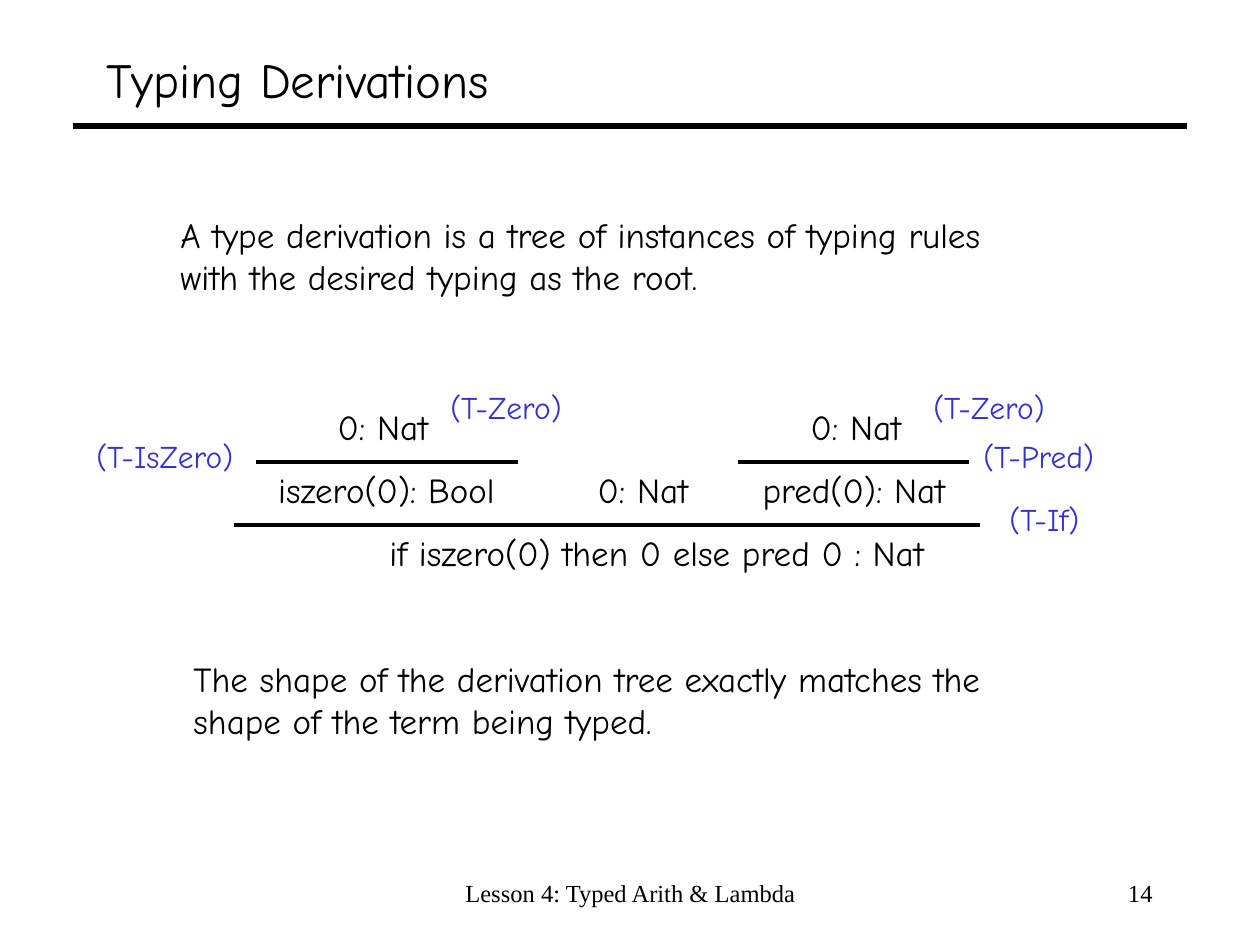
from dataclasses import dataclass

from lxml.etree import SubElement
from pptx import Presentation
from pptx.dml.color import RGBColor
from pptx.enum.shapes import MSO_CONNECTOR
from pptx.enum.text import MSO_ANCHOR, MSO_AUTO_SIZE, PP_ALIGN
from pptx.oxml.ns import qn
from pptx.util import Inches, Pt

PX_PER_INCH = 126
LEVEL_TOP, LEVEL_STEP = 399, 63  # rows of the derivation tree


@dataclass(frozen=True)
class Theme:
    hand: str = "Comic Neue"
    serif: str = "Times New Roman"
    ink: RGBColor = RGBColor(0x00, 0x00, 0x00)
    rule_name: RGBColor = RGBColor(0x33, 0x33, 0xCC)
    title: int = 28
    body: int = 20
    label: int = 18
    footer: int = 14
    title_line: float = 3
    tree_line: float = 2.25


THEME = Theme()


def px(n):
    return Inches(n / PX_PER_INCH)


def level_y(level):
    return LEVEL_TOP + level * LEVEL_STEP


def add_text(slide, box, lines, size, color=THEME.ink, font=THEME.hand,
             align=PP_ALIGN.LEFT, wrap=False, anchor=MSO_ANCHOR.TOP):
    tf = slide.shapes.add_textbox(*map(px, box)).text_frame
    tf.word_wrap = wrap
    tf.auto_size = MSO_AUTO_SIZE.NONE if wrap else MSO_AUTO_SIZE.SHAPE_TO_FIT_TEXT
    tf.vertical_anchor = anchor
    tf.text = lines
    for p in tf.paragraphs:
        p.alignment = align
        p.font.size = Pt(size)
        p.font.name = font
        p.font.color.rgb = color


def add_rule(slide, x1, x2, y, width):
    line = slide.shapes.add_connector(
        MSO_CONNECTOR.STRAIGHT, px(x1), px(y), px(x2), px(y))
    line.line.color.rgb = THEME.ink
    line.line.width = Pt(width)
    SubElement(line._element.spPr, qn("a:effectLst"))


def add_judgement(slide, x, level, width, text, align=PP_ALIGN.CENTER):
    add_text(slide, (x, level_y(level), width, 55), text, THEME.body, align=align)


def add_rule_name(slide, x, y, width, text):
    add_text(slide, (x, y, width, 50), text, THEME.label, THEME.rule_name)


def add_footer(slide, x, width, text, align):
    add_text(slide, (x, 872, width, 53), text, THEME.footer,
             font=THEME.serif, align=align, wrap=True)


def add_derivation(slide):
    add_judgement(slide, 325, 0, 116, "0: Nat")
    add_judgement(slide, 798, 0, 116, "0: Nat")
    add_judgement(slide, 265, 1, 243, "iszero(0): Bool")
    add_judgement(slide, 585, 1, 116, "0: Nat")
    add_judgement(slide, 750, 1, 208, "pred(0): Nat")
    add_judgement(slide, 377, 2, 562, "if iszero(0) then 0 else pred 0 : Nat",
                  PP_ALIGN.LEFT)

    for x1, x2, level in ((256, 518, 1), (738, 969, 1), (234, 980, 2)):
        add_rule(slide, x1, x2, level_y(level), THEME.tree_line)

    for x, y, width, text in (
        (438, 382, 139, "(T-Zero)"),
        (921, 382, 139, "(T-Zero)"),
        (84, 431, 165, "(T-IsZero)"),
        (971, 431, 139, "(T-Pred)"),
        (997, 494, 97, "(T-If)"),
    ):
        add_rule_name(slide, x, y, width, text)


def main():
    prs = Presentation()
    prs.slide_width, prs.slide_height = Inches(10), Inches(7.5)
    slide = prs.slides.add_slide(prs.slide_layouts[6])

    add_rule(slide, 73, 1187, 126, THEME.title_line)
    add_text(slide, (94, 32, 1071, 94), "Typing Derivations", THEME.title,
             wrap=True, anchor=MSO_ANCHOR.MIDDLE)
    add_text(slide, (168, 207, 828, 97),
             "A type derivation is a tree of instances of typing rules\n"
             "with the desired typing as the root.", THEME.body)
    add_derivation(slide)
    add_text(slide, (181, 651, 815, 97),
             "The shape of the derivation tree exactly matches the\n"
             "shape of the term being typed.", THEME.body)
    add_footer(slide, 431, 399, "Lesson 4: Typed Arith & Lambda", PP_ALIGN.CENTER)
    add_footer(slide, 903, 262, "14", PP_ALIGN.RIGHT)

    prs.save("out.pptx")


if __name__ == "__main__":
    main()
